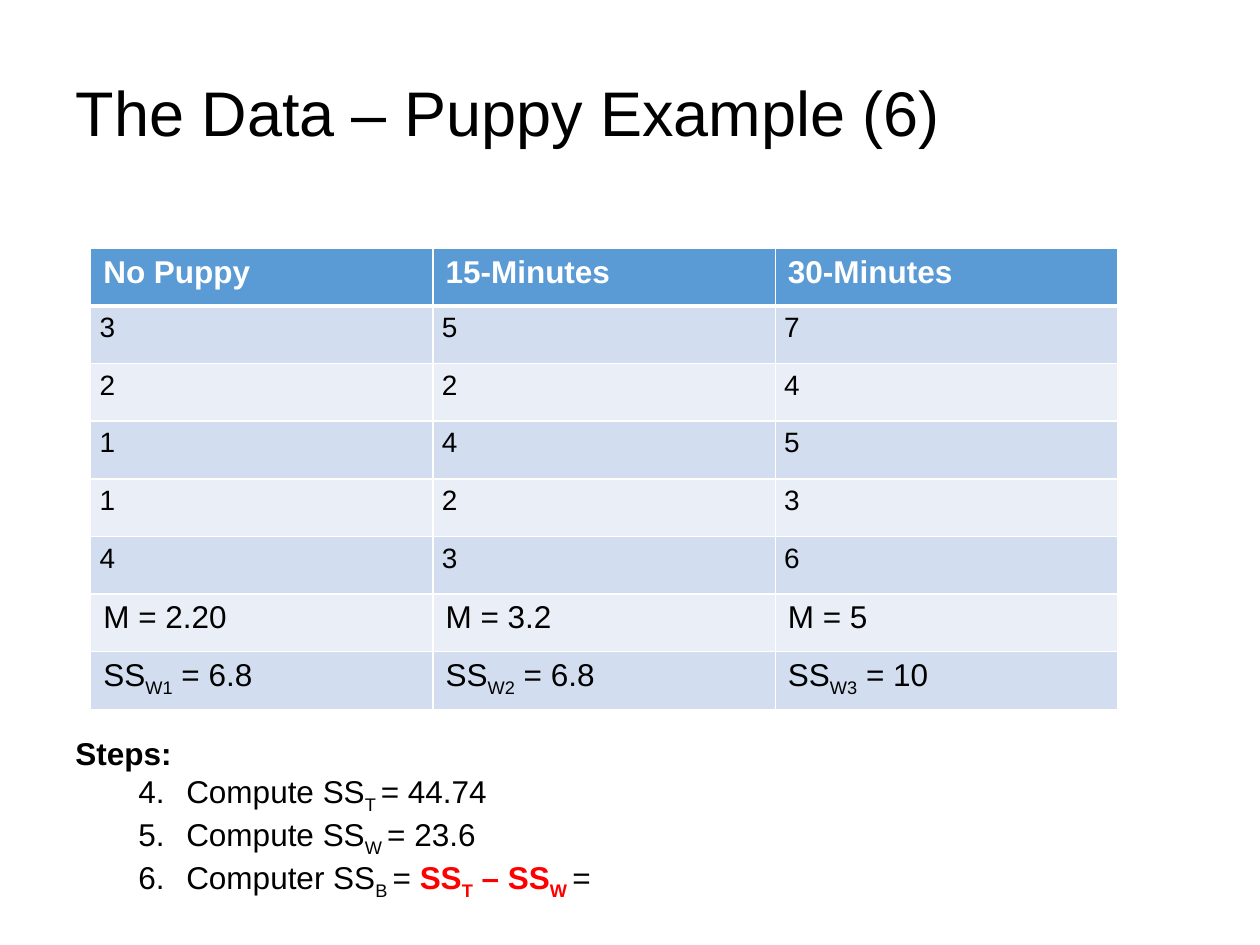
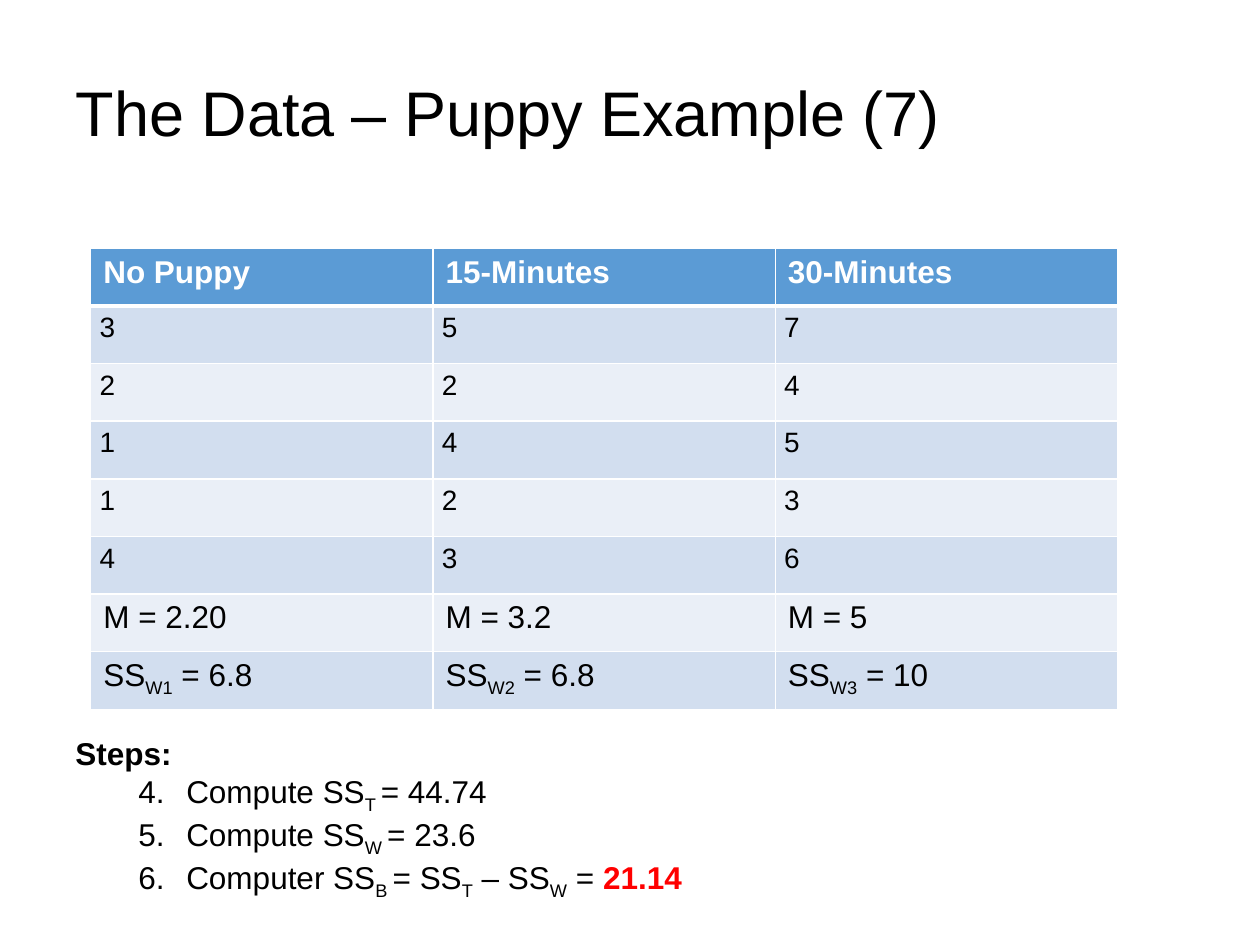
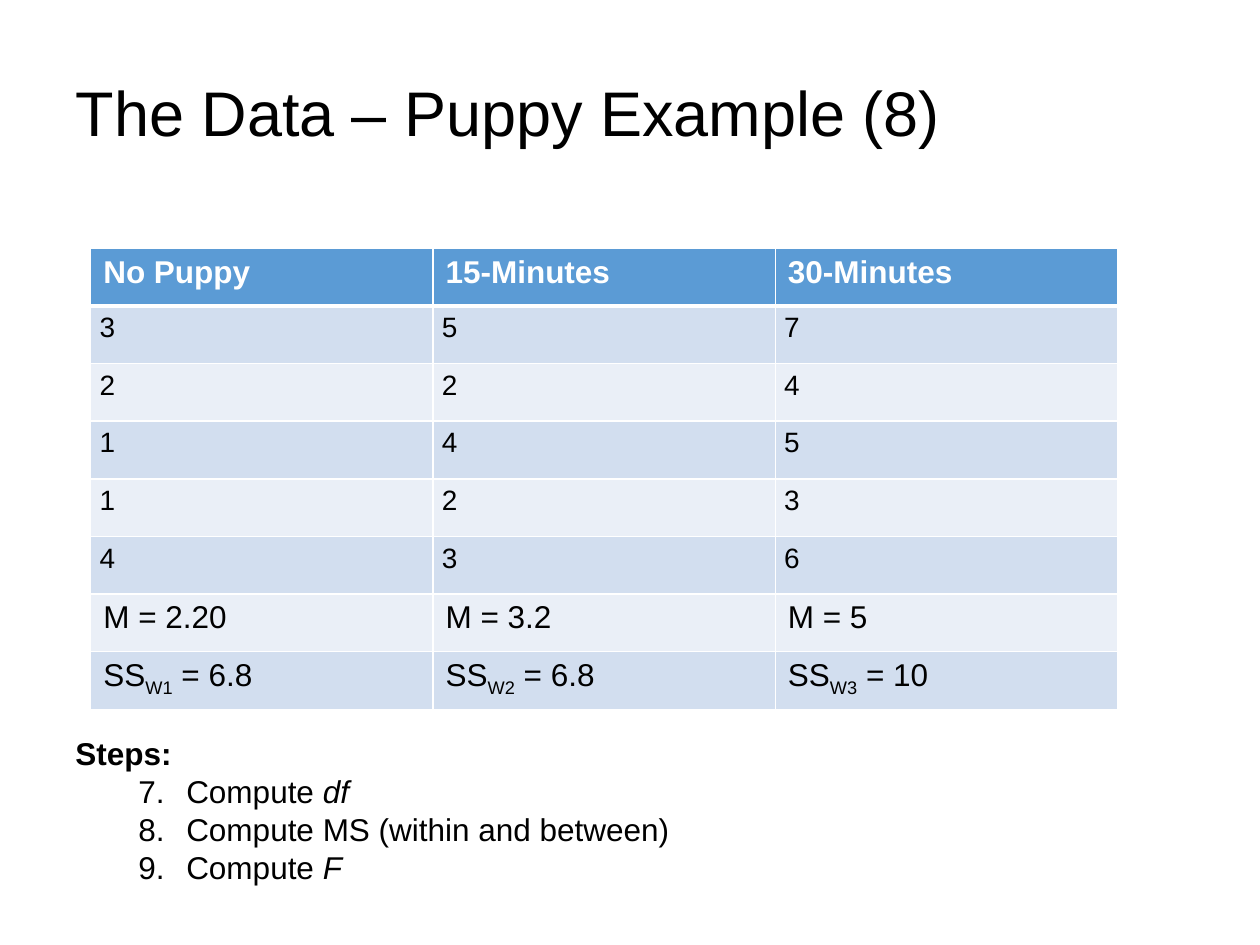
from lxml.etree import SubElement
from pptx import Presentation
from pptx.dml.color import RGBColor
from pptx.enum.text import MSO_ANCHOR, MSO_AUTO_SIZE, PP_ALIGN
from pptx.oxml.ns import qn
from pptx.util import Inches, Pt

FONT = "Arial"
COLORS = {"text": "000000", "white": "FFFFFF", "accent": "FF0000",
          "header": "5B9BD5", "band_dark": "D2DEEF", "band_light": "EAEFF7"}

# Content: a rich line is a list of (text, styles) runs
HEADERS = ["No Puppy", "15-Minutes", "30-Minutes"]
SCORES = [[3, 5, 7], [2, 2, 4], [1, 4, 5], [1, 2, 3], [4, 3, 6]]
MEANS = ["2.20", "3.2", "5"]
SUMS_OF_SQUARES = ["6.8", "6.8", "10"]

TOTAL_AND_WITHIN = [
    [("Compute SS", ""), ("T ", "sub"), ("= 44.74", "")],
    [("Compute SS", ""), ("W ", "sub"), ("= 23.6", "")],
]
SLIDES = [
    {"number": 6, "first_step": 4, "steps": TOTAL_AND_WITHIN + [
        [("Computer SS", ""), ("B ", "sub"), ("= ", ""),
         ("SS", "red"), ("T", "red sub"), (" – SS", "red"),
         ("W ", "red sub"), ("=", "")]]},
    {"number": 7, "first_step": 4, "steps": TOTAL_AND_WITHIN + [
        [("Computer SS", ""), ("B ", "sub"), ("= SS", ""), ("T", "sub"),
         (" – SS", ""), ("W", "sub"), (" = ", ""), ("21.14", "red")]]},
    {"number": 8, "first_step": 7, "steps": [
        [("Compute ", ""), ("df", "italic")],
        [("Compute MS (within and between)", "")],
        [("Compute ", ""), ("F", "italic")]]},
]

# Layout in inches: left, top, width, height
TITLE_BOX = (0.5, 0.3, 9, 1.25)
TABLE_BOX = (0.72, 1.97, 8.15, 3.66)
STEPS_BOX = (0.5, 5.78, 7.95, 1.92)


def inches(box):
    return [Inches(value) for value in box]


def rgb(name):
    return RGBColor.from_string(COLORS[name])


def set_font(paragraph, size, color="text", bold=False):
    font = paragraph.font
    font.name, font.size, font.bold = FONT, Pt(size), bold
    font.color.rgb = rgb(color)


def add_runs(paragraph, runs):
    for text, styles in runs:
        run = paragraph.add_run()
        run.text = text
        if "sub" in styles:
            run.font._element.set("baseline", "-25000")
        if "italic" in styles:
            run.font.italic = True
        if "red" in styles:
            run.font.bold = True
            run.font.color.rgb = rgb("accent")


def number_paragraph(paragraph, start):
    paragraph.level = 1
    properties = paragraph._p.get_or_add_pPr()
    properties.set("marL", str(Inches(0.88)))
    properties.set("indent", str(Inches(-0.38)))
    SubElement(properties, qn("a:buFont"), typeface=FONT)
    SubElement(properties, qn("a:buAutoNum"), type="arabicPeriod", startAt=str(start))


def set_borders(cell, top=1, bottom=1):
    properties = cell._tc.get_or_add_tcPr()
    for side, width in (("L", 1), ("R", 1), ("T", top), ("B", bottom)):
        line = SubElement(properties, qn(f"a:ln{side}"), w=str(Pt(width)))
        fill = SubElement(line, qn("a:solidFill"))
        SubElement(fill, qn("a:srgbClr"), val=COLORS["white"])


def table_rows():
    """Return (kind, cells) for each row, each cell a list of runs."""
    rows = [("header", [[(text, "")] for text in HEADERS])]
    rows += [("score", [[(str(score), "")] for score in scores]) for scores in SCORES]
    rows.append(("summary", [[(f"M = {mean}", "")] for mean in MEANS]))
    rows.append(("summary", [[("SS", ""), (f"W{group}", "sub"), (f" = {value}", "")]
                             for group, value in enumerate(SUMS_OF_SQUARES, 1)]))
    return rows


def add_title(slide, number):
    title = slide.shapes.title
    title.left, title.top, title.width, title.height = inches(TITLE_BOX)
    frame = title.text_frame
    frame.text = f"The Data – Puppy Example ({number})"
    frame.vertical_anchor = MSO_ANCHOR.MIDDLE
    paragraph = frame.paragraphs[0]
    paragraph.alignment = PP_ALIGN.LEFT
    paragraph.line_spacing = 0.9
    set_font(paragraph, 36)


def add_data_table(slide):
    rows = table_rows()
    table = slide.shapes.add_table(len(rows), len(HEADERS), *inches(TABLE_BOX)).table
    for row_index, (kind, cells) in enumerate(rows):
        band = "band_dark" if row_index % 2 else "band_light"
        for column_index, runs in enumerate(cells):
            cell = table.cell(row_index, column_index)
            set_borders(cell, top=3 if row_index == 1 else 1,
                        bottom=3 if kind == "header" else 1)
            cell.fill.solid()
            cell.fill.fore_color.rgb = rgb("header" if kind == "header" else band)
            paragraph = cell.text_frame.paragraphs[0]
            add_runs(paragraph, runs)
            if kind == "score":
                cell.vertical_anchor = MSO_ANCHOR.MIDDLE
                cell.margin_left = cell.margin_right = Inches(0.07)
                cell.margin_top = cell.margin_bottom = 0
                paragraph.line_spacing = Pt(10)
                paragraph.space_after = Pt(12)
                set_font(paragraph, 16)
            elif kind == "header":
                set_font(paragraph, 18, "white", bold=True)
            else:
                set_font(paragraph, 18)


def add_steps(slide, first_step, steps):
    frame = slide.shapes.add_textbox(*inches(STEPS_BOX)).text_frame
    frame.word_wrap = True
    frame.auto_size = MSO_AUTO_SIZE.SHAPE_TO_FIT_TEXT
    frame.text = "Steps:"
    set_font(frame.paragraphs[0], 18, bold=True)
    for runs in steps:
        paragraph = frame.add_paragraph()
        number_paragraph(paragraph, first_step)
        add_runs(paragraph, runs)
        set_font(paragraph, 18)


def main():
    presentation = Presentation()
    presentation.slide_width, presentation.slide_height = Inches(10), Inches(7.5)
    title_only = presentation.slide_layouts[5]
    for content in SLIDES:
        slide = presentation.slides.add_slide(title_only)
        add_title(slide, content["number"])
        add_data_table(slide)
        add_steps(slide, content["first_step"], content["steps"])
    presentation.save("out.pptx")


if __name__ == "__main__":
    main()
